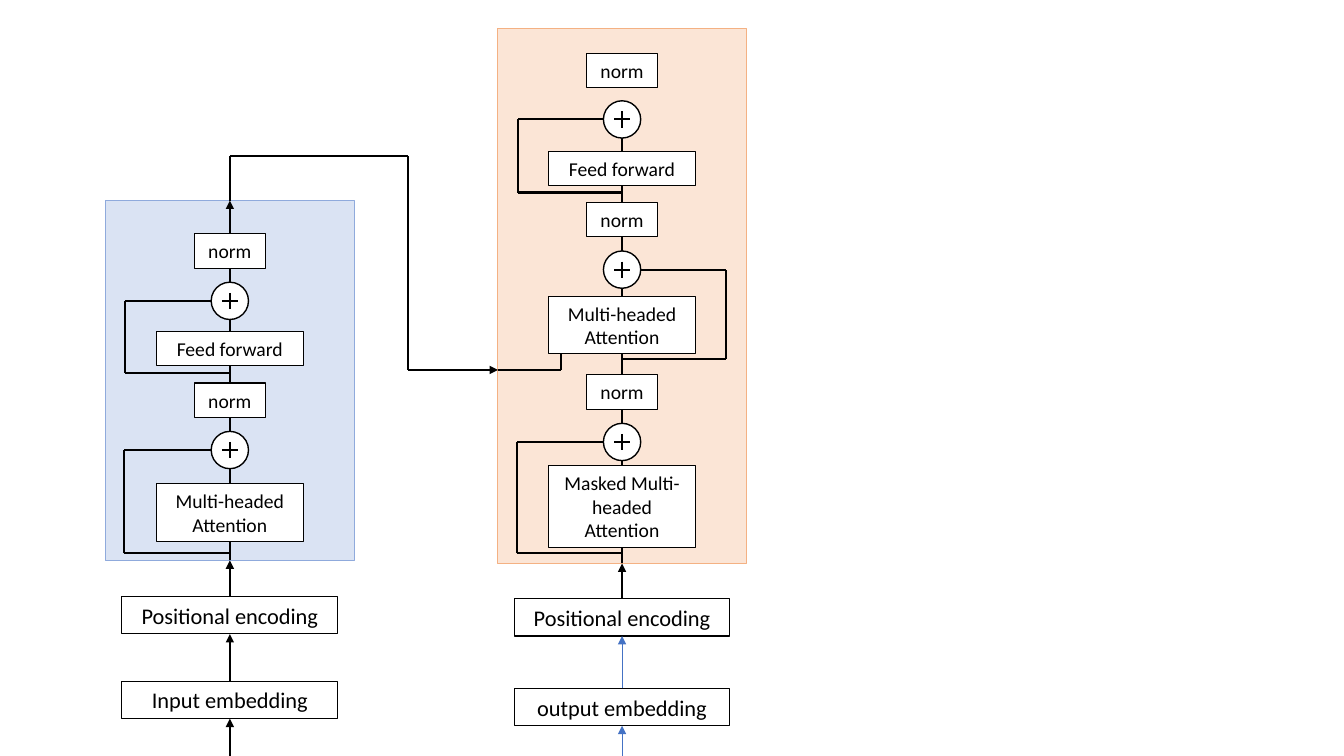
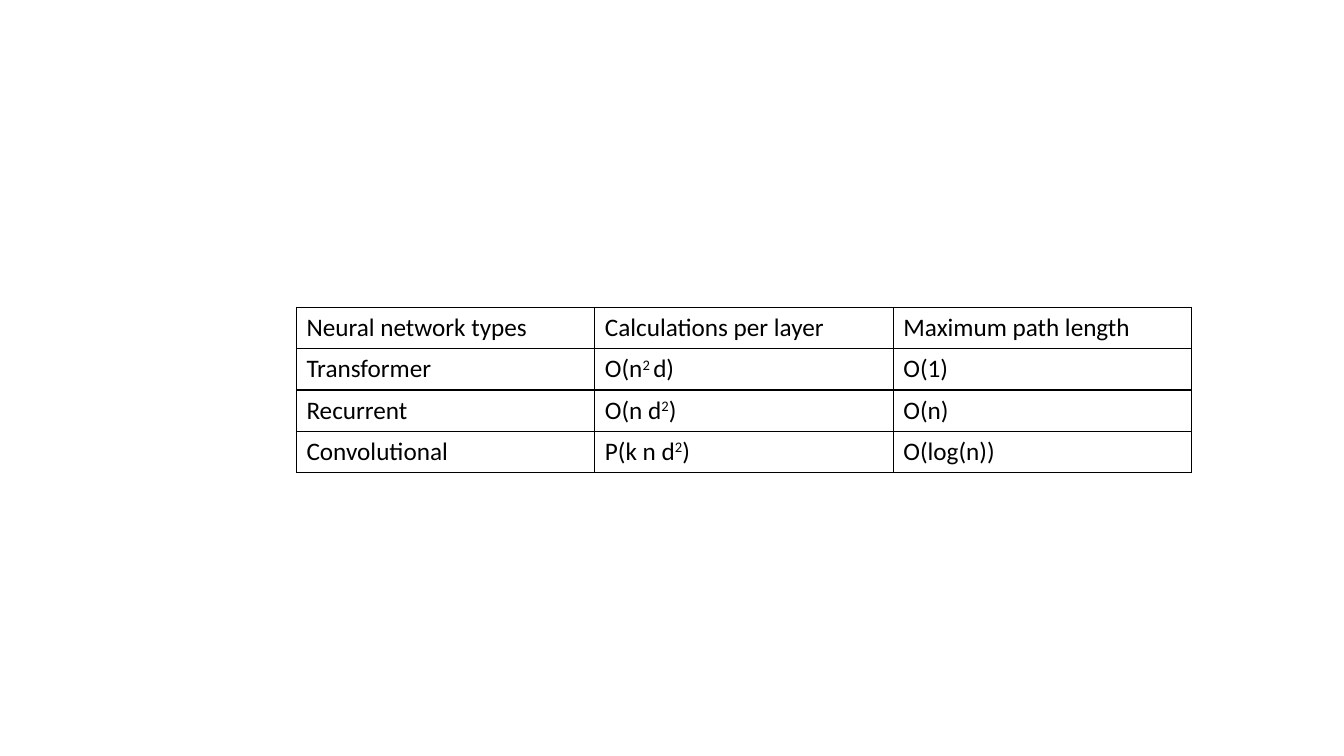
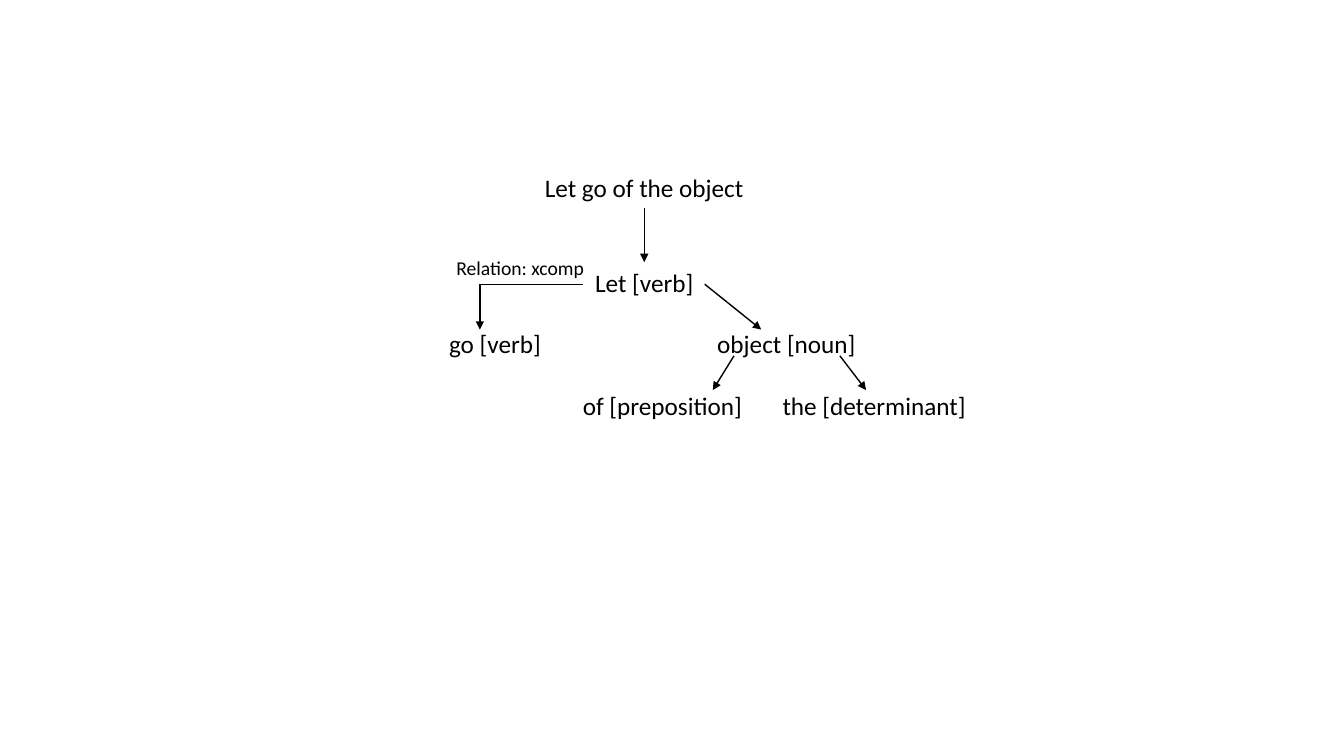
from dataclasses import dataclass
from itertools import pairwise
from typing import NamedTuple

from pptx import Presentation
from pptx.dml.color import RGBColor
from pptx.enum.shapes import MSO_CONNECTOR, MSO_SHAPE, MSO_SHAPE_TYPE
from pptx.enum.text import MSO_ANCHOR, MSO_AUTO_SIZE, PP_ALIGN
from pptx.oxml.ns import qn
from pptx.oxml.xmlchemy import OxmlElement
from pptx.shapes.autoshape import Shape
from pptx.slide import Slide
from pptx.table import _Cell as Cell
from pptx.text.text import TextFrame
from pptx.util import Inches, Pt

FONT = "Calibri"
BLACK, WHITE, BLUE = "000000", "FFFFFF", "4472C4"
TOP, LEFT, BOTTOM, RIGHT = range(4)
RING_SIZE = 0.37
PLUS_REACH = 0.08
SLIDE_WIDTH, SLIDE_HEIGHT = 13.33, 7.5
ROW_HEIGHT = 0.41
COLUMN_WIDTH = 2.96


class Point(NamedTuple):
    x: float
    y: float


class Site(NamedTuple):
    shape: Shape
    index: int


class Stroke(NamedTuple):
    color: str = BLACK
    width: float = 1.5


Anchor = Point | Site
THIN = Stroke(width=1)


@dataclass
class Box:
    text: str
    top: float
    width: float = 1.46
    height: float = 0.34
    size: int = 14


@dataclass
class Ring:
    top: float
    tap: float
    side: float


@dataclass
class Column:
    axis: float
    panel: Box
    fill: str
    border: str
    layers: list[Box | Ring]
    inputs: list[Box]
    feed: Stroke
    has_output: bool


@dataclass
class Label:
    text: str
    center: float
    top: float
    width: float
    size: int = 18


def norm(top: float) -> Box:
    return Box("norm", top, width=0.71)


def embedding(text: str, top: float) -> Box:
    return Box(text, top, width=2.14, height=0.37, size=16)


ENCODER = Column(
    axis=2.28, panel=Box("", 1.99, 2.47, 3.57), fill="DAE3F3", border="8FAADC",
    layers=[
        norm(2.32),
        Ring(2.8, tap=3.7, side=1.24),
        Box("Feed forward", 3.29),
        norm(3.8),
        Ring(4.28, tap=5.49, side=1.23),
        Box("Multi-headed Attention", 4.8, height=0.57),
    ],
    inputs=[embedding("Positional encoding", 5.92), embedding("Input embedding", 6.76)],
    feed=Stroke(), has_output=True,
)
DECODER = Column(
    axis=6.17, panel=Box("", 0.28, 2.47, 5.31), fill="FBE5D6", border="F4B183",
    layers=[
        norm(0.53),
        Ring(1, tap=1.91, side=5.14),
        Box("Feed forward", 1.5),
        norm(2.01),
        Ring(2.49, tap=3.56, side=7.2),
        Box("Multi-headed Attention", 2.94, height=0.57),
        norm(3.72),
        Ring(4.2, tap=5.49, side=5.13),
        Box("Masked Multi-headed Attention", 4.62, height=0.81),
    ],
    inputs=[embedding("Positional encoding", 5.94), embedding("output embedding", 6.83)],
    feed=Stroke(BLUE, 0.5), has_output=False,
)
COMPLEXITY = [
    ["Neural network types", "Calculations per layer", "Maximum path length"],
    ["Transformer", "O(n^2 ^d)", "O(1)"],
    ["Recurrent", "O(n d^2^)", "O(n)"],
    ["Convolutional", "P(k n d^2^)", "O(log(n))"],
]
SENTENCE = Label("Let go of the object", 6.39, 1.66, 2.76)
ROOT = Label("Let [verb]", 6.39, 2.6, 1.3)
WORDS = [
    Label("Relation: xcomp", 5.16, 2.49, 1.6, size=14),
    Label("go [verb]", 4.91, 3.21, 1.3),
    Label("object [noun]", 7.8, 3.21, 1.8),
    Label("of [preposition]", 6.57, 3.82, 2),
    Label("the [determinant]", 8.67, 3.82, 2.2),
]
BRANCHES = [
    [Point(5.78, 2.82), Point(4.76, 2.82), Point(4.76, 3.27)],
    [Point(6.99, 2.82), Point(7.55, 3.27)],
    [Point(7.28, 3.53), Point(7.07, 3.87)],
    [Point(8.33, 3.53), Point(8.59, 3.87)],
]


def rgb(color: str) -> RGBColor:
    return RGBColor.from_string(color)


def style_text(frame: TextFrame, size: int, align: PP_ALIGN) -> None:
    for para in frame.paragraphs:
        para.alignment = align
        for span in para.runs:
            span.font.name = FONT
            span.font.size = Pt(size)
            span.font.color.rgb = rgb(BLACK)


def write(shape: Shape, text: str, size: int) -> None:
    frame = shape.text_frame
    frame.text = text
    frame.word_wrap = True
    frame.auto_size = MSO_AUTO_SIZE.SHAPE_TO_FIT_TEXT
    style_text(frame, size, PP_ALIGN.CENTER)


def add_outline(page: Slide, kind: MSO_SHAPE, axis: float, top: float, width: float,
                height: float, fill: str, stroke: Stroke) -> Shape:
    shape = page.shapes.add_shape(
        kind, Inches(axis - width / 2), Inches(top), Inches(width), Inches(height))
    shape.shadow.inherit = False
    shape.fill.solid()
    shape.fill.fore_color.rgb = rgb(fill)
    shape.line.color.rgb = rgb(stroke.color)
    shape.line.width = Pt(stroke.width)
    return shape


def add_box(page: Slide, box: Box, axis: float) -> Shape:
    shape = add_outline(page, MSO_SHAPE.RECTANGLE, axis, box.top, box.width,
                        box.height, WHITE, Stroke(width=0.75))
    write(shape, box.text, box.size)
    return shape


def position(anchor: Anchor) -> Point:
    if isinstance(anchor, Point):
        return anchor
    shape, index = anchor
    across = {LEFT: 0, RIGHT: 1}.get(index, 0.5)
    down = {TOP: 0, BOTTOM: 1}.get(index, 0.5)
    return Point(shape.left.inches + across * shape.width.inches,
                 shape.top.inches + down * shape.height.inches)


def is_rectangle(anchor: Anchor) -> bool:
    if isinstance(anchor, Point):
        return False
    shape = anchor.shape
    return (shape.shape_type == MSO_SHAPE_TYPE.TEXT_BOX
            or shape.auto_shape_type == MSO_SHAPE.RECTANGLE)


def connect(page: Slide, begin: Anchor, end: Anchor, stroke: Stroke = Stroke(),
            arrow: bool = False) -> None:
    start, finish = position(begin), position(end)
    line = page.shapes.add_connector(
        MSO_CONNECTOR.STRAIGHT, Inches(start.x), Inches(start.y),
        Inches(finish.x), Inches(finish.y))
    if is_rectangle(begin):
        line.begin_connect(*begin)
    if is_rectangle(end):
        line.end_connect(*end)
    line.line.color.rgb = rgb(stroke.color)
    line.line.width = Pt(stroke.width)
    properties = line._element.spPr
    if arrow:
        tail = OxmlElement("a:tailEnd")
        tail.set("type", "triangle")
        properties.find(qn("a:ln")).append(tail)
    properties.append(OxmlElement("a:effectLst"))


def trace(page: Slide, anchors: list[Anchor], stroke: Stroke = Stroke(),
          arrow: bool = False) -> None:
    for begin, end in pairwise(anchors):
        connect(page, begin, end, stroke, arrow and end is anchors[-1])


def add_ring(page: Slide, ring: Ring, axis: float) -> Shape:
    shape = add_outline(page, MSO_SHAPE.OVAL, axis, ring.top, RING_SIZE, RING_SIZE,
                        WHITE, THIN)
    middle = ring.top + RING_SIZE / 2
    connect(page, Point(axis - PLUS_REACH, middle), Point(axis + PLUS_REACH, middle))
    connect(page, Point(axis, middle - PLUS_REACH), Point(axis, middle + PLUS_REACH))
    entry = Site(shape, LEFT if ring.side < axis else RIGHT)
    trace(page, [Point(axis, ring.tap), Point(ring.side, ring.tap),
                 Point(ring.side, middle), entry])
    return shape


def add_column(page: Slide, column: Column) -> Shape:
    axis, area = column.axis, column.panel
    panel = add_outline(page, MSO_SHAPE.RECTANGLE, axis, area.top, area.width,
                        area.height, column.fill, Stroke(column.border, 1))
    layers = [add_ring(page, layer, axis) if isinstance(layer, Ring)
              else add_box(page, layer, axis) for layer in column.layers]
    joined = layers if column.has_output else layers[1:]
    for upper, lower in pairwise(joined):
        connect(page, Site(lower, TOP), Site(upper, BOTTOM))
    connect(page, Site(panel, BOTTOM), Site(layers[-1], BOTTOM))
    if column.has_output:
        connect(page, Site(layers[0], TOP), Site(panel, TOP), arrow=True)

    encoding, source = [add_box(page, box, axis) for box in column.inputs]
    connect(page, Site(encoding, TOP), Site(panel, BOTTOM), arrow=True)
    connect(page, Site(source, TOP), Site(encoding, BOTTOM), column.feed, True)
    connect(page, Point(axis, SLIDE_HEIGHT), Site(source, BOTTOM), column.feed, True)
    return panel


def build_transformer(page: Slide) -> None:
    encoder = add_column(page, ENCODER)
    add_column(page, DECODER)
    bend, level = 4.05, 3.67
    entry = Point(4.94, level)
    trace(page, [Site(encoder, TOP), Point(ENCODER.axis, 1.55), Point(bend, 1.55),
                 Point(bend, level), entry], arrow=True)
    trace(page, [entry, Point(5.56, level), Point(5.56, 3.51)])


def add_borders(cell: Cell) -> None:
    properties = cell._tc.get_or_add_tcPr()
    for place, side in enumerate(("lnL", "lnR", "lnT", "lnB")):
        border = OxmlElement(f"a:{side}")
        border.set("w", str(Pt(1)))
        fill = OxmlElement("a:solidFill")
        color = OxmlElement("a:srgbClr")
        color.set("val", BLACK)
        fill.append(color)
        border.append(fill)
        properties.insert(place, border)


def fill_cell(cell: Cell, text: str) -> None:
    para = cell.text_frame.paragraphs[0]
    for number, part in enumerate(text.split("^")):
        span = para.add_run()
        span.text = part
        if number % 2:
            span._r.get_or_add_rPr().set("baseline", "30000")
    style_text(cell.text_frame, 18, PP_ALIGN.LEFT)
    cell.vertical_anchor = MSO_ANCHOR.TOP
    cell.fill.background()
    add_borders(cell)


def build_complexity(page: Slide) -> None:
    rows, columns = len(COMPLEXITY), len(COMPLEXITY[0])
    table = page.shapes.add_table(
        rows, columns, Inches(2.94), Inches(3.05),
        Inches(columns * COLUMN_WIDTH), Inches(rows * ROW_HEIGHT)).table
    table.first_row = False
    table.horz_banding = False
    for row, texts in enumerate(COMPLEXITY):
        for column, text in enumerate(texts):
            fill_cell(table.cell(row, column), text)


def add_label(page: Slide, label: Label) -> Shape:
    box = page.shapes.add_textbox(
        Inches(label.center - label.width / 2), Inches(label.top),
        Inches(label.width), Inches(0.4 if label.size == 18 else 0.34))
    write(box, label.text, label.size)
    return box


def build_parse_tree(page: Slide) -> None:
    sentence, root = add_label(page, SENTENCE), add_label(page, ROOT)
    for word in WORDS:
        add_label(page, word)
    connect(page, Site(sentence, BOTTOM), Site(root, TOP), THIN, True)
    for branch in BRANCHES:
        trace(page, branch, THIN, arrow=True)


def main() -> None:
    deck = Presentation()
    deck.slide_width = Inches(SLIDE_WIDTH)
    deck.slide_height = Inches(SLIDE_HEIGHT)
    blank = deck.slide_layouts[6]
    for build in (build_transformer, build_complexity, build_parse_tree):
        build(deck.slides.add_slide(blank))
    deck.save("out.pptx")


if __name__ == "__main__":
    main()
